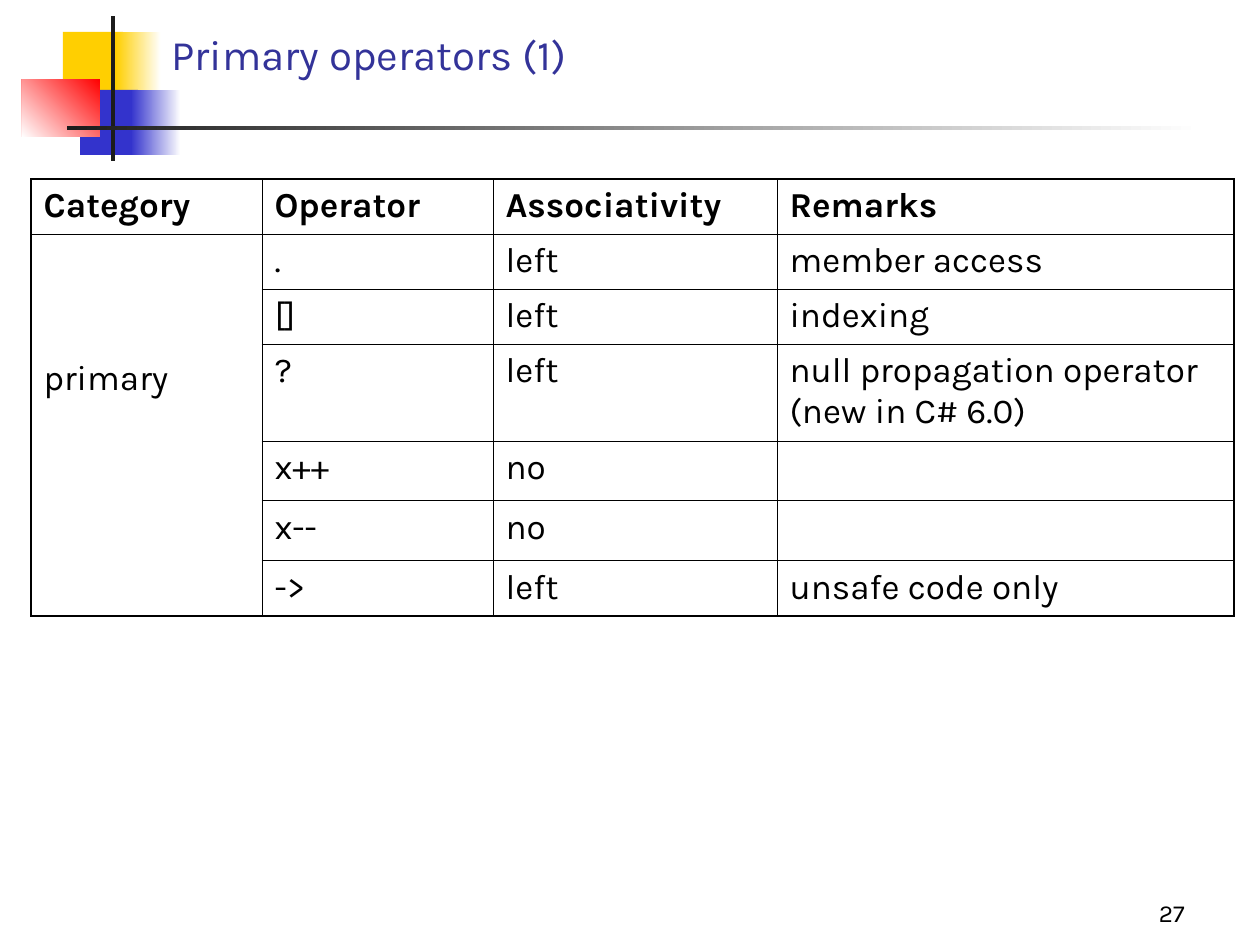
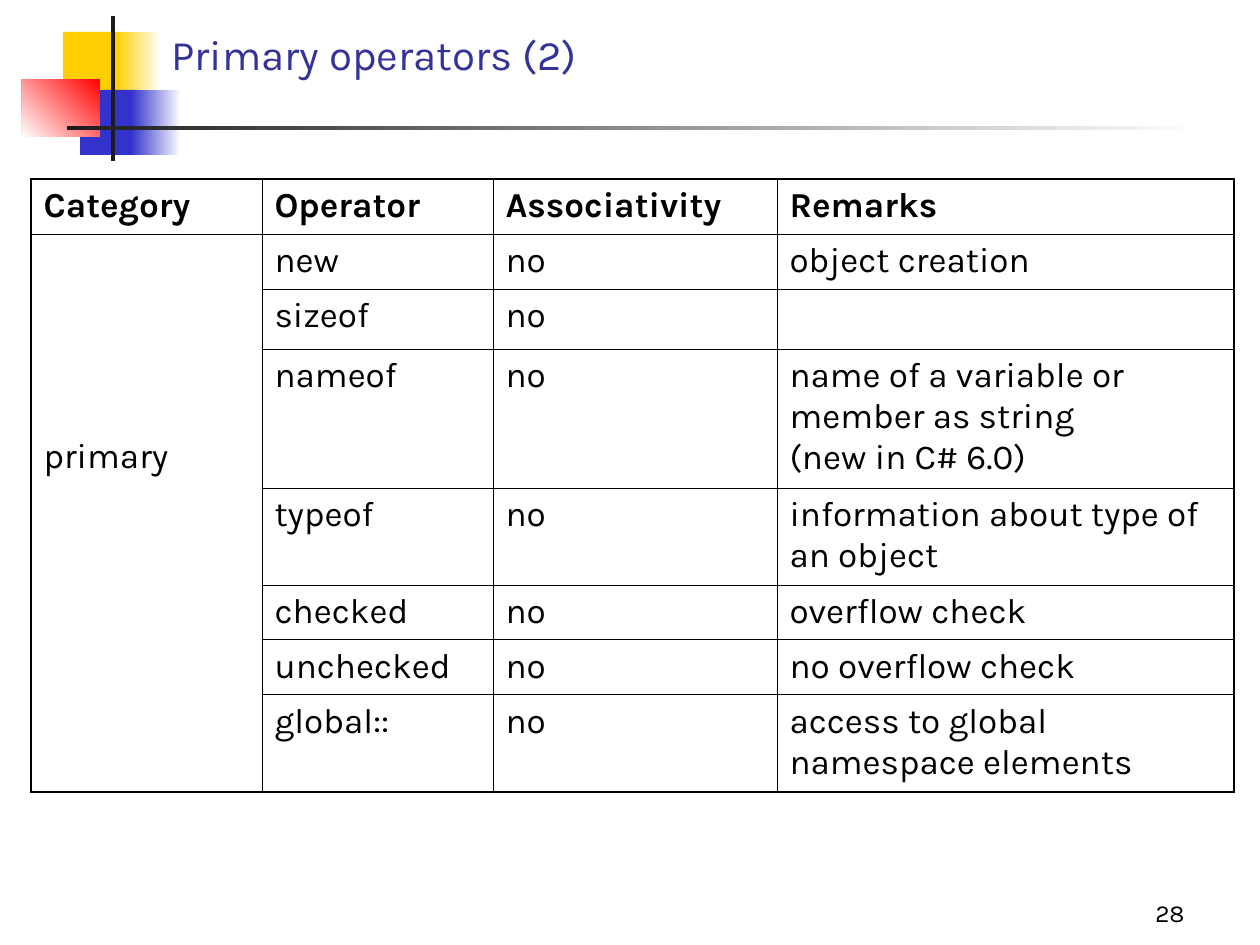
from dataclasses import dataclass
from typing import Any, NamedTuple

from lxml.etree import SubElement
from pptx import Presentation
from pptx.dml.color import RGBColor
from pptx.enum.shapes import MSO_SHAPE as Shape
from pptx.enum.text import MSO_ANCHOR as Anchor, PP_ALIGN as Align
from pptx.oxml.ns import qn
from pptx.util import Emu, Pt

PX_PER_INCH = 126
FONT = "Karla"
BLACK, WHITE, INK = "000000", "FFFFFF", "1C1C1C"
YELLOW, BLUE, RED, TITLE_BLUE = "FFCF01", "3333CC", "FF0000", "333399"
OUTER_BORDER, INNER_BORDER = 1.08, 0.45

HEADINGS = ("Category", "Operator", "Associativity", "Remarks")
COLUMN_WIDTHS = (231, 231, 284, 457)
TABLE_LEFT, TABLE_TOP = 31, 179
EMPTY_ROW = 60
ROW_BY_LINES = {1: 55, 2: 97, 3: 139}
MARGIN_TOP = 6


class Box(NamedTuple):
    left: int
    top: int
    width: int
    height: int


@dataclass(frozen=True)
class Block:
    """A rectangle of the slide motif; a fade_to colour makes it a gradient."""
    box: Box
    color: str
    fade_to: str | None = None
    angle: int = 180


class Operator(NamedTuple):
    symbol: str
    associativity: str
    remark: str = ""
    lines: int = 1


@dataclass(frozen=True)
class OperatorSlide:
    title: str
    number: int
    category: str
    category_drop: int
    operators: tuple[Operator, ...]


MOTIF = (
    Block(Box(63, 32, 60, 66), YELLOW),
    Block(Box(116, 32, 45, 66), WHITE, YELLOW),
    Block(Box(80, 90, 58, 65), BLUE),
    Block(Box(131, 90, 50, 65), WHITE, BLUE),
    Block(Box(22, 79, 78, 58), RED, WHITE, 225),
    Block(Box(111, 16, 4, 145), INK),
    Block(Box(67, 126, 1134, 4), WHITE, INK),
)
TITLE_BOX = Box(159, 23, 1074, 62)
NUMBER_BOX = Box(1061, 892, 136, 42)

SLIDES = (
    OperatorSlide("Primary operators (1)", 27, "primary", 118, (
        Operator(".", "left", "member access"),
        Operator("[]", "left", "indexing"),
        Operator("?", "left", "null propagation operator\v(new in C# 6.0)", 2),
        Operator("x++", "no"),
        Operator("x--", "no"),
        Operator("->", "left", "unsafe code only"),
    )),
    OperatorSlide("Primary operators (2)", 28, "primary", 196, (
        Operator("new", "no", "object creation"),
        Operator("sizeof", "no"),
        Operator("nameof", "no",
                 "name of a variable or member as string\v(new in C# 6.0)", 3),
        Operator("typeof", "no", "information about type of an object", 2),
        Operator("checked", "no", "overflow check"),
        Operator("unchecked", "no", "no overflow check"),
        Operator("global::", "no", "access to global namespace elements", 2),
    )),
)


def px(length: int) -> Emu:
    return Emu(round(length * 914400 / PX_PER_INCH))


def place(box: Box) -> list[Emu]:
    return [px(length) for length in box]


def rgb(color: str) -> RGBColor:
    return RGBColor.from_string(color)


def apply_format(target: Any, values: dict[str, Any]) -> None:
    for name, value in values.items():
        setattr(target, name, value)


def write(text_frame: Any, text: str, size: int, color: str,
          bold: bool = False, align: Align = Align.LEFT) -> None:
    paragraph = text_frame.paragraphs[0]
    paragraph.text = text
    paragraph.alignment = align
    for run in paragraph.runs:
        apply_format(run.font, {"name": FONT, "size": Pt(size), "bold": bold})
        run.font.color.rgb = rgb(color)


def add_block(slide: Any, block: Block) -> None:
    shape = slide.shapes.add_shape(Shape.RECTANGLE, *place(block.box))
    shape.shadow.inherit = False
    shape.line.fill.background()
    if block.fade_to is None:
        shape.fill.solid()
        shape.fill.fore_color.rgb = rgb(block.color)
        return
    shape.fill.gradient()
    shape.fill.gradient_angle = block.angle
    colors = (block.color, block.fade_to)
    for position, (stop, color) in enumerate(zip(shape.fill.gradient_stops, colors)):
        stop.position = position
        stop.color.rgb = rgb(color)


def add_label(slide: Any, box: Box, text: str, size: int, color: str,
              align: Align = Align.LEFT) -> None:
    text_frame = slide.shapes.add_textbox(*place(box)).text_frame
    apply_format(text_frame, {"word_wrap": True, "vertical_anchor": Anchor.BOTTOM})
    write(text_frame, text, size, color, align=align)


def add_border(cell: Any, side: str, width: float) -> None:
    line = SubElement(cell._tc.get_or_add_tcPr(), qn(f"a:ln{side}"), w=str(Pt(width)))
    fill = SubElement(line, qn("a:solidFill"))
    SubElement(fill, qn("a:srgbClr"), val=BLACK)


def frame_cells(table: Any) -> None:
    """Give the table a strong outline and thin inner lines, without fills."""
    last_row, last_column = len(table.rows) - 1, len(table.columns) - 1
    for row in range(last_row + 1):
        for column in range(last_column + 1):
            cell = table.cell(row, column)
            outer_sides = {
                "L": column == 0,
                "R": column == last_column,
                "T": row == 0,
                "B": row + cell.span_height - 1 == last_row,
            }
            for side, is_outer in outer_sides.items():
                if is_outer or not cell.is_spanned:
                    add_border(cell, side, OUTER_BORDER if is_outer else INNER_BORDER)
            cell.fill.background()


def add_operator_table(slide: Any, content: OperatorSlide) -> None:
    heights = [ROW_BY_LINES[1]] + [
        ROW_BY_LINES[operator.lines] if operator.remark else EMPTY_ROW
        for operator in content.operators]
    box = Box(TABLE_LEFT, TABLE_TOP, sum(COLUMN_WIDTHS), sum(heights))
    table = slide.shapes.add_table(len(heights), len(HEADINGS), *place(box)).table
    apply_format(table, {"first_row": False, "horz_banding": False})
    for column, width in zip(table.columns, COLUMN_WIDTHS):
        column.width = px(width)
    for row, height in zip(table.rows, heights):
        row.height = px(height)

    for column, heading in enumerate(HEADINGS):
        write(table.cell(0, column).text_frame, heading, 20, BLACK, bold=True)
    for row, operator in enumerate(content.operators, start=1):
        for column, text in enumerate(operator[:3], start=1):
            write(table.cell(row, column).text_frame, text, 20, BLACK)

    category_cell = table.cell(1, 0)
    category_cell.merge(table.cell(len(content.operators), 0))
    category_cell.margin_top = px(MARGIN_TOP + content.category_drop)
    write(category_cell.text_frame, content.category, 20, BLACK)
    frame_cells(table)


def main() -> None:
    presentation = Presentation()
    apply_format(presentation, {"slide_width": px(1260), "slide_height": px(945)})
    blank_layout = presentation.slide_layouts[6]
    for content in SLIDES:
        slide = presentation.slides.add_slide(blank_layout)
        for block in MOTIF:
            add_block(slide, block)
        add_label(slide, TITLE_BOX, content.title, 24, TITLE_BLUE)
        add_operator_table(slide, content)
        add_label(slide, NUMBER_BOX, str(content.number), 14, BLACK, Align.RIGHT)
    presentation.save("out.pptx")


if __name__ == "__main__":
    main()
